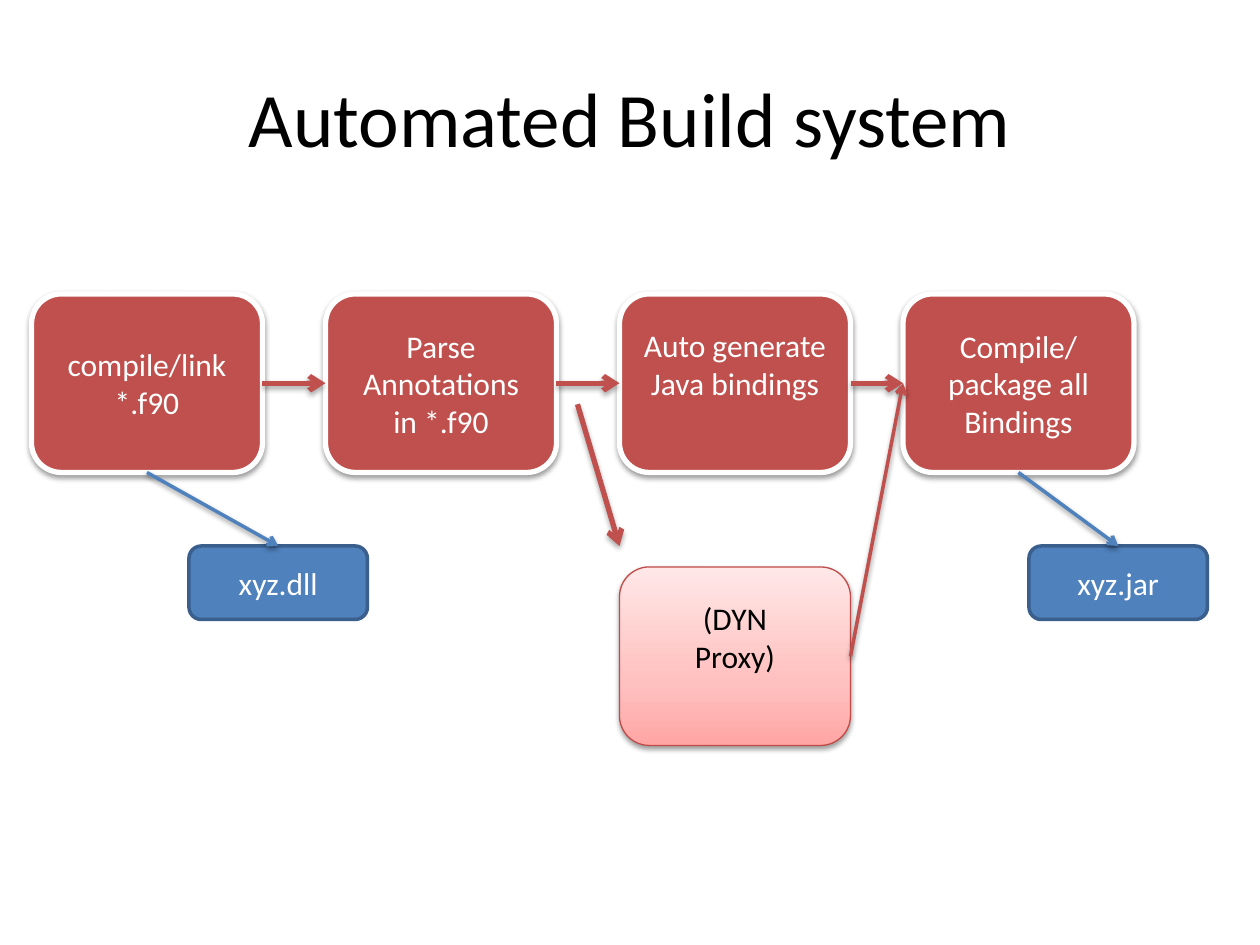
"""Build the "Automated Build system" flow slide."""
from copy import deepcopy

from lxml import etree
from pptx import Presentation
from pptx.dml.color import RGBColor
from pptx.enum.shapes import MSO_CONNECTOR, MSO_SHAPE
from pptx.enum.text import MSO_ANCHOR, PP_ALIGN
from pptx.oxml.ns import qn
from pptx.util import Pt

ROUND = MSO_SHAPE.ROUNDED_RECTANGLE
STRAIGHT = MSO_CONNECTOR.STRAIGHT
MIDDLE, CENTER = MSO_ANCHOR.MIDDLE, PP_ALIGN.CENTER
TOP, LEFT, BOTTOM, RIGHT = range(4)

THEME = {
    "font": "Calibri",
    "title": Pt(44),
    "body": Pt(18),
    "black": RGBColor.from_string("000000"),
    "white": RGBColor.from_string("FFFFFF"),
    "red": RGBColor.from_string("C0504D"),
    "red_edge": RGBColor.from_string("BF4C48"),
    "blue": RGBColor.from_string("4F81BD"),
    "blue_edge": RGBColor.from_string("3A5F8C"),
    "pink": [(0, "FFA6A5"), (0.35, "FFC0BF"), (1, "FFE7E7")],
}


def write(sp, lines, size, color):
    tf = sp.text_frame
    for name, value in {"word_wrap": True, "vertical_anchor": MIDDLE}.items():
        setattr(tf, name, value)
    tf.text = "\n".join(lines)
    for p in tf.paragraphs:
        p.alignment = CENTER
        for name, value in {"name": THEME["font"], "size": size}.items():
            setattr(p.runs[0].font, name, value)
        p.runs[0].font.color.rgb = color


def add_shadow(sp, alpha, dist):
    props = sp._element.spPr
    effects = props.find(qn("a:effectLst"))
    if effects is None:
        effects = etree.SubElement(props, qn("a:effectLst"))
    outer = etree.SubElement(effects, qn("a:outerShdw"), blurRad=str(Pt(3.15)),
                             dist=str(Pt(dist)), dir="5400000", rotWithShape="0")
    clr = etree.SubElement(outer, qn("a:srgbClr"), val=str(THEME["black"]))
    etree.SubElement(clr, qn("a:alpha"), val=str(alpha * 1000))


prs = Presentation()
prs.slide_width, prs.slide_height = Pt(720), Pt(540)
s = prs.slides.add_slide(prs.slide_layouts[5])

title = s.shapes.title
for name, value in {"left": 36, "top": 21.6, "width": 648, "height": 90}.items():
    setattr(title, name, Pt(value))
write(title, ["Automated Build system"], THEME["title"], THEME["black"])

STEP, OUTPUT = (132, 102), (102, 42)
STYLES = {
    "step": (STEP, "red", "white", 3, "white"),
    "output": (OUTPUT, "blue", "blue_edge", 2, "white"),
    "proxy": (STEP, "pink", "red_edge", 0.75, "black"),
}
BOXES = [
    ("compile", "step", 18, 168, ["compile/link", "*.f90"], 0),
    ("parse", "step", 186, 168, ["Parse", "Annotations", "in *.f90"], 0),
    ("generate", "step", 354, 168, ["Auto generate", "Java bindings"], 22),
    ("package", "step", 516, 168, ["Compile/", "package all", "Bindings"], 0),
    ("dll", "output", 108, 312, ["xyz.dll"], 0),
    ("jar", "output", 588, 312, ["xyz.jar"], 0),
    ("proxy", "proxy", 354, 324, ["(DYN", "Proxy)"], 22),
]
boxes = {}
for key, style, x, y, lines, lift in BOXES:
    (w, h), fill, edge, weight, ink = STYLES[style]
    sp = boxes[key] = s.shapes.add_shape(ROUND, Pt(x), Pt(y), Pt(w), Pt(h))
    sp.shadow.inherit = False
    if style == "proxy":
        sp.fill.gradient()
        sp.fill.gradient_angle = 90
        stops = sp._element.spPr.find(".//" + qn("a:gsLst"))
        stops.insert(1, deepcopy(stops[0]))
        for stop, (position, color) in zip(sp.fill.gradient_stops, THEME[fill]):
            stop.position = position
            stop.color.rgb = RGBColor.from_string(color)
    else:
        sp.fill.solid()
        sp.fill.fore_color.rgb = THEME[fill]
    sp.line.color.rgb = THEME[edge]
    sp.line.width = Pt(weight)
    if style != "output":
        add_shadow(sp, 38, 1.57)
    write(sp, lines, THEME["body"], THEME[ink])
    sp.text_frame.margin_bottom = Pt(3.6 + lift)

ARROWS = [
    ("compile", RIGHT, "parse", LEFT, "red", 3),
    ("parse", RIGHT, "generate", LEFT, "red", 3),
    ("generate", RIGHT, "package", LEFT, "red", 3),
    ("compile", BOTTOM, "dll", TOP, "blue", 2),
    ("package", BOTTOM, "jar", TOP, "blue", 2),
    (None, None, None, None, "red", 3),
    ("proxy", RIGHT, "package", LEFT, "red", 2),
]
for start, start_site, end, end_site, color, weight in ARROWS:
    cx = s.shapes.add_connector(STRAIGHT, Pt(330), Pt(231), Pt(354), Pt(312))
    if start:
        cx.begin_connect(boxes[start], start_site)
        cx.end_connect(boxes[end], end_site)
    cx.line.color.rgb = THEME[color]
    cx.line.width = Pt(weight)
    etree.SubElement(cx._element.spPr.find(qn("a:ln")), qn("a:tailEnd"), type="arrow")
    add_shadow(cx, *((35, 1.81) if weight == 3 else (38, 1.57)))

prs.save("out.pptx")
